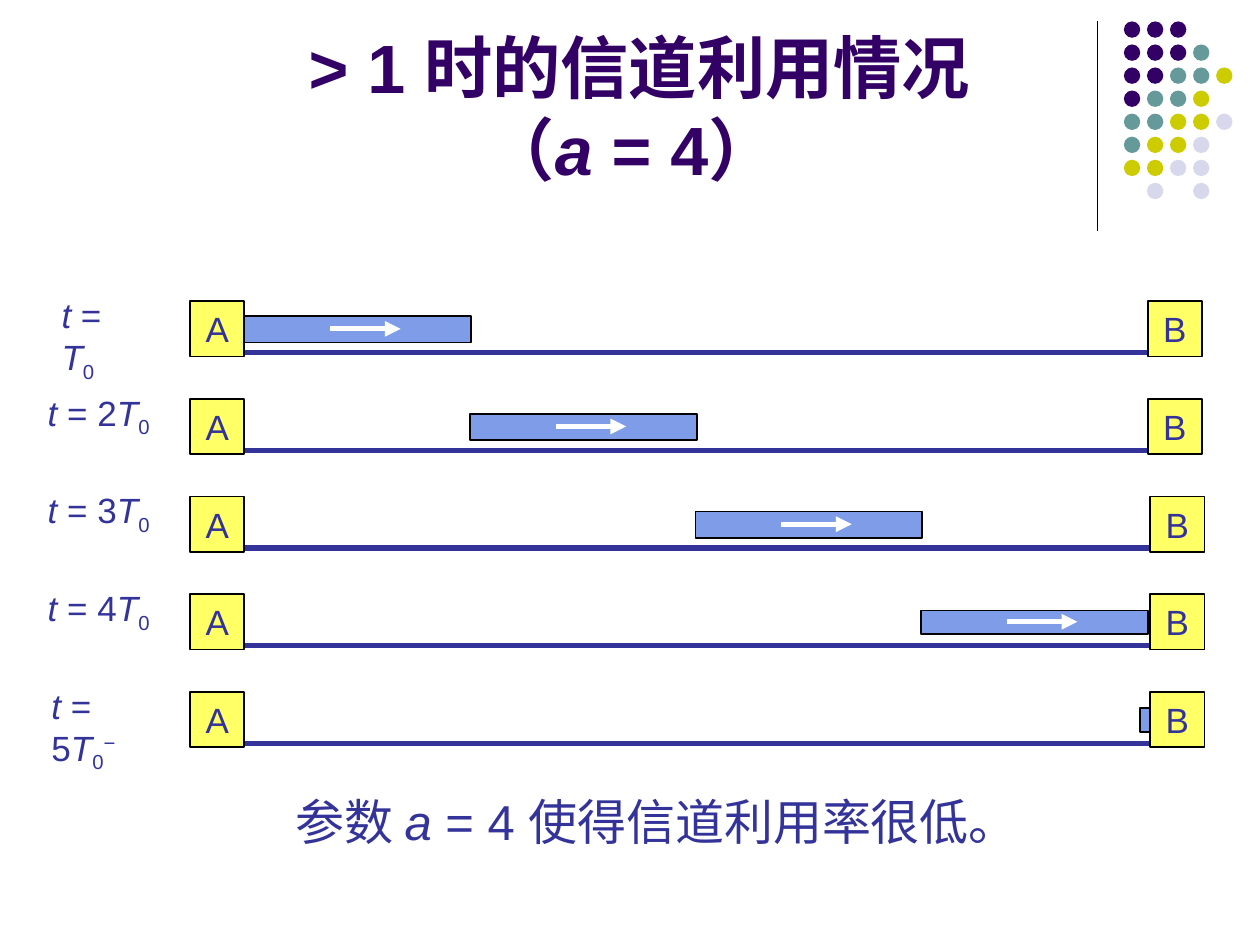
from lxml import etree
from pptx import Presentation
from pptx.dml.color import RGBColor
from pptx.enum import shapes, text
from pptx.oxml.ns import qn
from pptx.util import Inches, Pt

COLORS = {"purple": "330066", "teal": "669999", "olive": "CCCC00", "lilac": "D8D8EC",
          "ink": "333399", "frame": "7E9CE8", "station": "FFFF66",
          "black": "000000", "white": "FFFFFF"}
DOT_CODES = {"p": "purple", "t": "teal", "o": "olive", "l": "lilac"}
DOT_ROWS = ["ppp", "pppt", "pptto", "ptto", "ttool", "tool", "ooll", " l l"]

# Each run is (text, style); styles are "", "i" (italic), "sub" and "super".
TIME_LABELS = [
    (0.39, 0.85, [("t", "i"), (" = ", ""), ("T", "i"), ("0", "sub")]),
    *[(0.28, 1.01, [("t", "i"), (f" = {step}", ""), ("T", "i"), ("0", "sub")])
      for step in (2, 3, 4)],
    (0.31, 1.06, [("t", "i"), (" = 5", ""), ("T", "i"), ("0", "sub"), ("−", "super")]),
]
BASELINES = {"sub": "-25000", "super": "30000"}
ROW_TOP, ROW_PITCH = 2.39, 0.775
STATION_WIDTH, STATION_HEIGHT = 0.43, 0.44
FRAME_WIDTH = 1.79


def rgb(name):
    return RGBColor.from_string(COLORS[name])


def write_runs(para, runs, size, color, bold=False):
    for words, style in runs:
        span = para.add_run()
        span.text = words
        span.font.name = "Arial"
        span.font.size = Pt(size)
        span.font.bold = bold
        span.font.italic = style == "i"
        span.font.color.rgb = rgb(color)
        if style in BASELINES:
            span._r.get_or_add_rPr().set("baseline", BASELINES[style])


def add_block(page, kind, left, top, width, height, fill, outlined=True):
    block = page.shapes.add_shape(kind, Inches(left), Inches(top), Inches(width), Inches(height))
    block.shadow.inherit = False
    block.fill.solid()
    block.fill.fore_color.rgb = rgb(fill)
    if outlined:
        block.line.color.rgb = rgb("black")
        block.line.width = Pt(1)
    else:
        block.line.fill.background()
    return block


def add_line(page, start, end, color, width, arrow=False):
    line = page.shapes.add_connector(shapes.MSO_CONNECTOR.STRAIGHT,
                                     *map(Inches, start), *map(Inches, end))
    line.line.color.rgb = rgb(color)
    line.line.width = Pt(width)
    if arrow:
        etree.SubElement(line.line._get_or_add_ln(), qn("a:tailEnd"), type="triangle")
    etree.SubElement(line._element.spPr, qn("a:effectLst"))


def add_text(page, left, top, width, height, runs, size, wrap=True):
    box = page.shapes.add_textbox(Inches(left), Inches(top), Inches(width), Inches(height))
    box.text_frame.word_wrap = wrap
    write_runs(box.text_frame.paragraphs[0], runs, size, "ink")


def add_dot_corner(page, left, top):
    """Divider line with the grid of coloured dots to its right."""
    add_line(page, (left, top), (left, top + 1.66), "black", 0.75)
    pitch = 0.183
    for row, codes in enumerate(DOT_ROWS):
        for column, code in enumerate(codes):
            if code in DOT_CODES:
                add_block(page, shapes.MSO_SHAPE.OVAL, left + 0.21 + column * pitch,
                          top + row * pitch, 0.13, 0.13, DOT_CODES[code], outlined=False)


def fill_title(title, left, top, width, height):
    title.left, title.top, title.width, title.height = map(Inches, (left, top, width, height))
    frame = title.text_frame
    frame.word_wrap = True
    frame.auto_size = text.MSO_AUTO_SIZE.NONE
    frame.vertical_anchor = text.MSO_ANCHOR.BOTTOM
    first, second = frame.paragraphs[0], frame.add_paragraph()
    first._p.get_or_add_pPr().set("marL", str(Inches(0.9)))
    write_runs(first, [("> 1 时的信道利用情况", "")], 39, "purple", bold=True)
    write_runs(second, [("（", ""), ("a", "i"), (" = 4） ", "")], 39, "purple", bold=True)
    for para in (first, second):
        para.alignment = text.PP_ALIGN.CENTER
        para.space_before = Pt(0)


def add_station(page, left, top, name):
    station = add_block(page, shapes.MSO_SHAPE.RECTANGLE, left, top,
                        STATION_WIDTH, STATION_HEIGHT, "station")
    station.text_frame.word_wrap = False
    station.text_frame.vertical_anchor = text.MSO_ANCHOR.MIDDLE
    para = station.text_frame.paragraphs[0]
    para.alignment = text.PP_ALIGN.CENTER
    write_runs(para, [(name, "")], 20, "ink")


def add_channel(page, left, top, width, step):
    """One moment of the channel: the frame has moved on by step frame lengths."""
    cable_left, cable_right = left + STATION_WIDTH, left + width - STATION_WIDTH
    frame_left = cable_left + step * FRAME_WIDTH
    leaving = step == 4
    if leaving:
        frame_left = cable_right - 0.08
    add_block(page, shapes.MSO_SHAPE.RECTANGLE, frame_left, top + (0.12 if step < 3 else 0.13),
              0.14 if leaving else FRAME_WIDTH + 0.01, 0.21 if step < 3 else 0.19, "frame")
    cable_y = top + 0.41
    add_line(page, (cable_left - 0.05, cable_y), (cable_right + 0.14, cable_y), "ink", 3)
    add_station(page, left, top, "A")
    add_station(page, cable_right, top, "B")
    if not leaving:
        arrow_y = top + 0.22
        add_line(page, (frame_left + 0.68, arrow_y), (frame_left + 1.24, arrow_y),
                 "white", 3, arrow=True)


def main():
    deck = Presentation()
    deck.slide_width, deck.slide_height = Inches(10), Inches(7.5)
    page = deck.slides.add_slide(deck.slide_layouts[5])
    add_dot_corner(page, 8.71, 0.17)
    fill_title(page.shapes.title, 0.5, 0.13, 8.25, 1.42)
    for step, (label_left, label_width, runs) in enumerate(TIME_LABELS):
        top = ROW_TOP + step * ROW_PITCH
        add_channel(page, 1.51, top, 8.03 if step < 2 else 8.05, step)
        add_text(page, label_left, top - 0.11, label_width, 0.48, runs, 20, wrap=step == 4)
    add_text(page, 2.25, 6.23, 6.2, 0.57,
             [("参数 ", ""), ("a", "i"), (" = 4 使得信道利用率很低。", "")], 28)
    deck.save("out.pptx")


if __name__ == "__main__":
    main()
